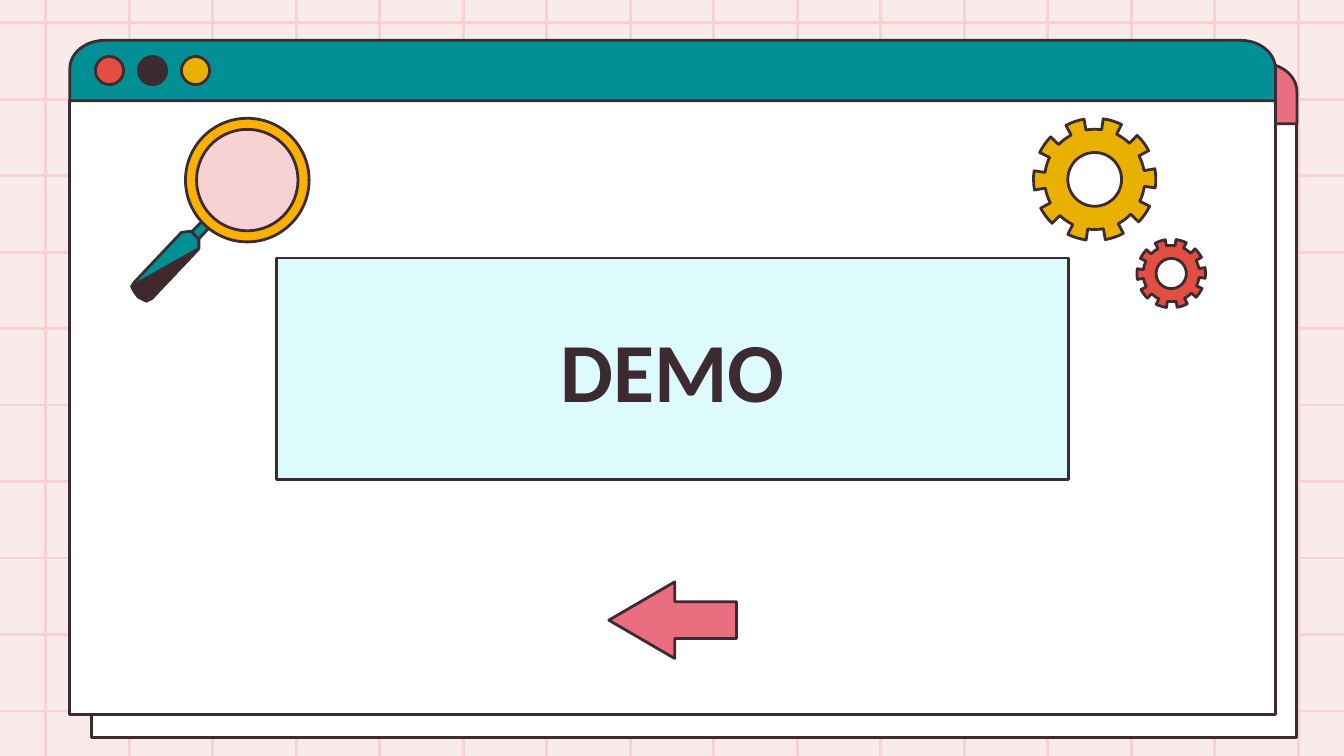
from dataclasses import dataclass
from math import cos, radians, sin

from lxml.etree import SubElement
from pptx import Presentation
from pptx.dml.color import RGBColor
from pptx.enum.shapes import MSO_CONNECTOR, MSO_SHAPE
from pptx.enum.text import MSO_ANCHOR, PP_ALIGN
from pptx.oxml.ns import qn
from pptx.util import Inches, Pt


@dataclass(frozen=True)
class Theme:
    backdrop: str = "FAEBEB"
    grid: str = "F8D2D2"
    ink: str = "3C2C31"
    paper: str = "FFFFFF"
    pink: str = "EB6E80"
    teal: str = "008F95"
    red: str = "E24E42"
    gold: str = "E9B000"
    amber: str = "FCB100"
    grip: str = "3E282C"
    panel: str = "DDFBFC"
    font: str = "Calibri"
    title_size: float = 45
    stroke: float = 1.5


THEME = Theme()


def color(code):
    return RGBColor.from_string(code)


def paint(shape, fill):
    shape.shadow.inherit = False
    shape.fill.solid()
    shape.fill.fore_color.rgb = color(fill)
    shape.line.color.rgb = color(THEME.ink)
    shape.line.width = Pt(THEME.stroke)
    SubElement(shape._element.spPr.find(qn("a:ln")), qn("a:round"))
    return shape


def preset(slide, kind, box, fill):
    return paint(slide.shapes.add_shape(kind, *map(Inches, box)), fill)


def outline(slide, contours, fill):
    contours = [[(Inches(x), Inches(y)) for x, y in points] for points in contours]
    builder = slide.shapes.build_freeform(*contours[0][0])
    for index, points in enumerate(contours):
        if index:
            builder.move_to(*points[0])
        builder.add_line_segments(points[1:], close=True)
    return paint(builder.convert_to_shape(), fill)


def arc(cx, cy, rx, ry, start, end, steps):
    angles = [radians(start + (end - start) * i / steps) for i in range(steps + 1)]
    return [(cx + rx * cos(a), cy + ry * sin(a)) for a in angles]


def grid_line(slide, start, end):
    line = slide.shapes.add_connector(MSO_CONNECTOR.STRAIGHT, *map(Inches, start + end))
    line.line.color.rgb = color(THEME.grid)
    line.line.width = Pt(THEME.stroke)
    SubElement(line._element.spPr, qn("a:effectLst"))


def draw_grid(slide, left, top, width, height):
    columns, rows = 16, 10
    for column in range(columns):
        x = left + 0.56 + column * 9.32 / (columns - 1)
        grid_line(slide, (x, top + height), (x, top))
    for row in range(rows):
        y = top + 0.53 + row * 5.12 / (rows - 1)
        grid_line(slide, (left, y), (left + width, y))


def draw_window(slide, left, top, width, height, bar_color):
    bar, rx, ry = 0.45, 0.26, 0.21
    right, bar_bottom = left + width, top + bar
    preset(slide, MSO_SHAPE.RECTANGLE, (left, bar_bottom, width, height - bar), THEME.paper)
    bar_outline = [
        (left, bar_bottom),
        *arc(left + rx, top + ry, rx, ry, 180, 270, 12),
        *arc(right - rx, top + ry, rx, ry, 270, 360, 12),
        (right, bar_bottom),
    ]
    outline(slide, [bar_outline], bar_color)
    for index, fill in enumerate((THEME.red, THEME.ink, THEME.gold)):
        button = (left + 0.19 + index * 0.32, top + 0.12, 0.21, 0.21)
        preset(slide, MSO_SHAPE.OVAL, button, fill)


def draw_title(slide, left, top, width, height, text):
    panel = preset(slide, MSO_SHAPE.RECTANGLE, (left, top, width, height), THEME.panel)
    frame = panel.text_frame
    frame.word_wrap = True
    frame.vertical_anchor = MSO_ANCHOR.MIDDLE
    frame.margin_left = frame.margin_right = Inches(0.1)
    frame.margin_top = frame.margin_bottom = Inches(0.1)
    paragraph = frame.paragraphs[0]
    paragraph.alignment = PP_ALIGN.CENTER
    run = paragraph.add_run()
    run.text = text
    run.font.name = THEME.font
    run.font.size = Pt(THEME.title_size)
    run.font.bold = True
    run.font.color.rgb = color(THEME.ink)


def draw_gear(slide, left, top, size, fill):
    teeth, tilt = 10, -1
    pitch = 360 / teeth
    outer = size / 2
    root, hole = outer * 0.82, outer * 0.44
    cx, cy = left + outer, top + outer
    rim = []
    for tooth in range(teeth):
        middle = tilt + tooth * pitch
        rim += arc(cx, cy, outer, outer, middle - pitch / 4, middle + pitch / 4, 4)
        rim += arc(cx, cy, root, root, middle + pitch / 4, middle + pitch * 3 / 4, 4)
    outline(slide, [rim, arc(cx, cy, hole, hole, 360, 0, 48)], fill)


def draw_arrow(slide, left, top, width, height):
    arrow = preset(slide, MSO_SHAPE.LEFT_ARROW, (left, top, width, height), THEME.pink)
    arrow.adjustments[0] = 0.48
    arrow.adjustments[1] = 0.86


def draw_magnifier(slide, left, top):
    def place(points):
        return [(left + x, top + y) for x, y in points]

    neck = [(0.46, 0.94), (0.4, 0.89), (0.54, 0.75), (0.59, 0.8)]
    butt = [(0, 1.25), (0.02, 1.29), (0.05, 1.33), (0.07, 1.34),
            (0.11, 1.36), (0.15, 1.34), (0.5, 0.97)]
    shoulder = [(0.5, 0.9), (0.44, 0.84), (0.37, 0.85), (0.02, 1.22)]
    outline(slide, [place(neck)], THEME.teal)
    outline(slide, [place(butt + shoulder)], THEME.teal)
    outline(slide, [place(butt)], THEME.grip)
    preset(slide, MSO_SHAPE.OVAL, (left + 0.46, top + 0.05, 0.82, 0.82), THEME.grid)
    rim = preset(slide, MSO_SHAPE.DONUT, (left + 0.4, top, 0.92, 0.92), THEME.amber)
    rim.adjustments[0] = 0.09


def main():
    deck = Presentation()
    deck.slide_width = Inches(10)
    deck.slide_height = deck.slide_width * 9 // 16
    slide = deck.slides.add_slide(deck.slide_layouts[6])
    slide.background.fill.solid()
    slide.background.fill.fore_color.rgb = color(THEME.backdrop)
    draw_grid(slide, -0.22, -0.36, 10.44, 6.18)
    draw_window(slide, 0.68, 0.47, 8.97, 5.02, THEME.pink)
    draw_window(slide, 0.52, 0.3, 8.97, 5.02, THEME.teal)
    draw_title(slide, 2.06, 1.92, 5.89, 1.65, "DEMO")
    draw_gear(slide, 7.69, 0.88, 0.91, THEME.gold)
    draw_gear(slide, 8.46, 1.78, 0.51, THEME.red)
    draw_arrow(slide, 4.53, 4.33, 0.95, 0.57)
    draw_magnifier(slide, 0.98, 0.88)
    deck.save("out.pptx")


if __name__ == "__main__":
    main()
